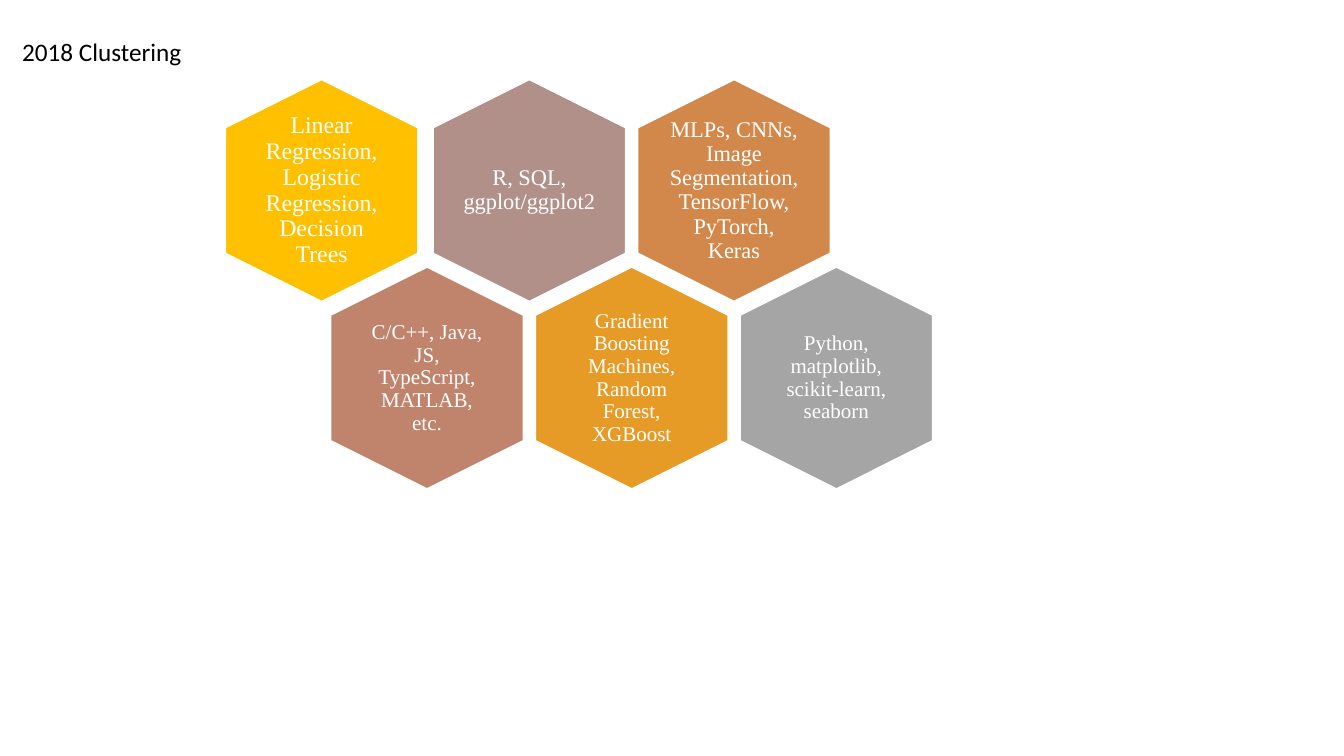
from dataclasses import dataclass

from pptx import Presentation
from pptx.dml.color import RGBColor
from pptx.enum.shapes import MSO_SHAPE as Preset
from pptx.enum.text import MSO_ANCHOR as Anchor, MSO_AUTO_SIZE as AutoSize, PP_ALIGN as Align
from pptx.shapes.shapetree import GroupShapes
from pptx.text.text import TextFrame
from pptx.util import Inches, Pt

BLACK = RGBColor(0x00, 0x00, 0x00)
WHITE = RGBColor(0xFF, 0xFF, 0xFF)
GRAY = RGBColor(0xA5, 0xA5, 0xA5)
MAUVE = RGBColor(0xB1, 0x90, 0x8A)
CLAY = RGBColor(0xC0, 0x84, 0x6C)
COPPER = RGBColor(0xD2, 0x88, 0x4B)
AMBER = RGBColor(0xE7, 0x9B, 0x27)
GOLD = RGBColor(0xFF, 0xC0, 0x00)

HEX_WIDTH, HEX_HEIGHT = 2.2, 1.91
LABEL_WIDTH, LABEL_HEIGHT = 1.32, 1.51
FIRST_CENTER, COLUMN_PITCH = 3.22, 2.03
ROW_CENTERS = (1.89, 3.75)


@dataclass(frozen=True)
class Cluster:
    row: int
    column: int
    text: str
    color: RGBColor
    size: int
    inset: float = 0
    nudge: float = 0


CLUSTERS = [
    Cluster(1, 2, "Python, matplotlib, scikit-learn, seaborn", GRAY, 15, 0.06),
    Cluster(0, 1, "R, SQL, ggplot/ggplot2", MAUVE, 16),
    Cluster(1, 0, "C/C++, Java, JS, TypeScript, MATLAB, etc.", CLAY, 15, 0.06),
    Cluster(0, 2, "MLPs, CNNs, Image Segmentation, TensorFlow, PyTorch, Keras", COPPER, 16),
    Cluster(1, 1, "Gradient Boosting Machines, Random Forest, XGBoost", AMBER, 15, 0.06),
    Cluster(0, 0, "Linear Regression, Logistic Regression, Decision Trees", GOLD, 17,
            nudge=-0.03),
]


def apply(target: object, values: dict) -> None:
    for name, value in values.items():
        setattr(target, name, value)


def write(frame: TextFrame, text: str, font: str, size: int, color: RGBColor,
          frame_format: dict, para_format: dict) -> None:
    apply(frame, {"word_wrap": True, **frame_format})
    para = frame.paragraphs[0]
    apply(para, para_format)
    span = para.add_run()
    span.text = text
    apply(span.font, {"name": font, "size": Pt(size)})
    span.font.color.rgb = color


def centered(x: float, y: float, width: float, height: float) -> list:
    return [Inches(value) for value in (x - width / 2, y - height / 2, width, height)]


def draw_cluster(shapes: GroupShapes, cluster: Cluster) -> None:
    x = FIRST_CENTER + (cluster.column + cluster.row / 2) * COLUMN_PITCH + cluster.nudge
    y = ROW_CENTERS[cluster.row]

    hexagon = shapes.add_shape(Preset.HEXAGON, *centered(x, y, HEX_WIDTH, HEX_HEIGHT))
    hexagon.rotation = 90
    hexagon.adjustments[0] = 0.25
    hexagon.shadow.inherit = False
    hexagon.fill.solid()
    hexagon.fill.fore_color.rgb = cluster.color
    hexagon.line.color.rgb = WHITE
    hexagon.line.width = Pt(1)

    label = shapes.add_textbox(*centered(x, y, LABEL_WIDTH, LABEL_HEIGHT))
    sides = ("left", "top", "right", "bottom")
    margins = {f"margin_{side}": Inches(cluster.inset) for side in sides}
    write(label.text_frame, cluster.text, "Times New Roman", cluster.size, WHITE,
          {"vertical_anchor": Anchor.MIDDLE, **margins},
          {"alignment": Align.CENTER, "line_spacing": 0.9})


def main() -> None:
    deck = Presentation()
    apply(deck, {"slide_width": Inches(13.33), "slide_height": Inches(7.5)})
    page = deck.slides.add_slide(deck.slide_layouts[5])

    title = page.shapes.title
    apply(title, {"left": Inches(0.12), "top": Inches(0.31),
                  "width": Inches(1.92), "height": Inches(0.4)})
    write(title.text_frame, "2018 Clustering", "Calibri", 18, BLACK,
          {"vertical_anchor": Anchor.TOP, "auto_size": AutoSize.SHAPE_TO_FIT_TEXT},
          {"alignment": Align.LEFT})

    honeycomb = page.shapes.add_group_shape()
    for cluster in CLUSTERS:
        draw_cluster(honeycomb.shapes, cluster)

    deck.save("out.pptx")


if __name__ == "__main__":
    main()
